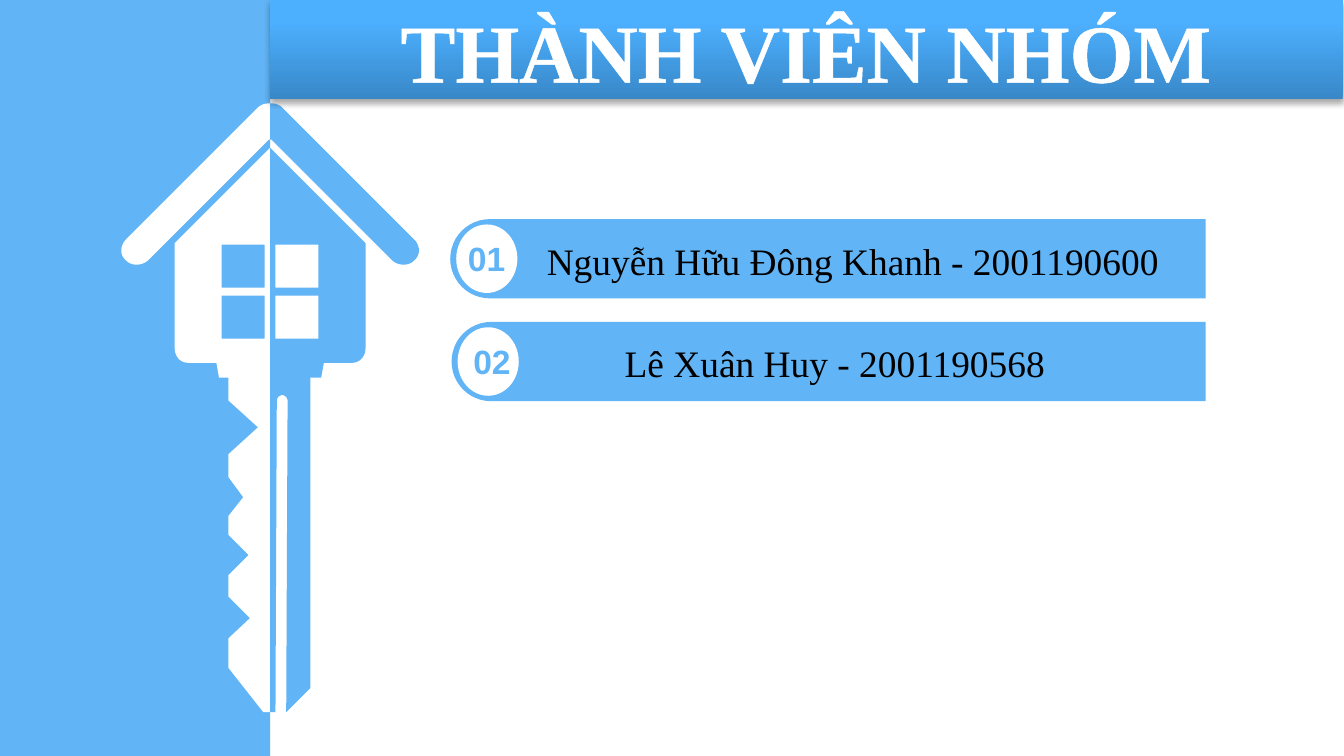
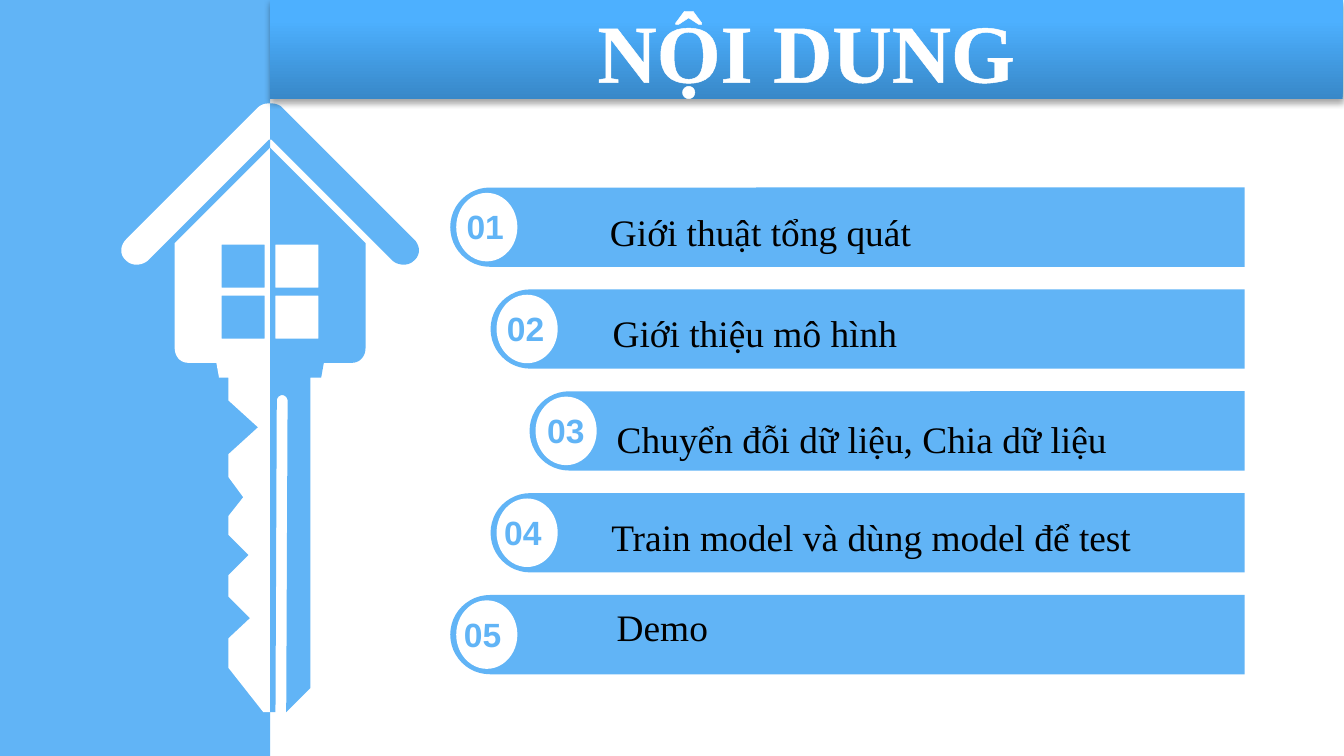
import pptx
import pptx.dml.color
import pptx.enum.shapes
import pptx.enum.text
import pptx.oxml
import pptx.oxml.ns
import pptx.util

RGB = pptx.dml.color.RGBColor
SKY = RGB(0x61, 0xB4, 0xF6)
WHITE = RGB(0xFF, 0xFF, 0xFF)
BLACK = RGB(0x00, 0x00, 0x00)
TITLE_STOPS = (
    (0, RGB(0x38, 0x88, 0xC8)),
    (80, RGB(0x4D, 0xB0, 0xFF)),
    (100, RGB(0x4F, 0xB1, 0xFF)),
)
SERIF, SANS = "Times New Roman", "Arial"
SHAPE = pptx.enum.shapes.MSO_SHAPE
ALIGN = pptx.enum.text.PP_ALIGN
ANCHOR = pptx.enum.text.MSO_ANCHOR
NAMESPACE = pptx.oxml.ns.nsdecls("a")

# Grid of square cells, a hundred columns to the slide's width
COLUMNS, ROWS = 100, 56.25
CELL = pptx.util.Inches(0.1)
SPLIT = 20.1  # column where the sky side meets the white side
BAR_HEIGHT = 5.9

# Key outlines in cells: pairs are corners, sixes are Bezier curves
ROOF = [(SPLIT, 7.7), (20, 7.7), (19.7, 7.7, 19.4, 7.8, 19.2, 8), (9.4, 17.8),
        (8.9, 18.3, 8.9, 19, 9.4, 19.4), (9.8, 19.8, 10.5, 19.8, 11, 19.4),
        (20, 10.4), (SPLIT, 10.4)]
HOUSE = [(SPLIT, 11), (13, 18.1), (13, 25.9), (13, 26.5, 13.4, 27, 14, 27),
         (16.1, 27), (16.3, 28.1), (SPLIT, 28.1)]
PANES = [[(16.5, top), (16.5, top + 3.2), (19.7, top + 3.2), (19.7, top)]
         for top in (18.2, 22)]
TEETH = [(SPLIT, 28.1), (17, 28.1), (17, 29.8), (19.2, 31.8), (17, 33.8), (17, 35.5),
         (18.1, 37), (17, 38.4), (17, 39.8), (18.5, 41.3), (17, 42.8), (17, 44.4),
         (18.6, 46), (17, 47.5), (17, 49.7), (19.6, 53), (SPLIT, 53)]
SHANK = [(SPLIT, 28.1), (23.1, 28.1), (23.1, 51.2), (21.3, 53), (21.4, 29.8),
         (21.4, 29.6, 21.2, 29.4, 21, 29.4), (20.8, 29.4, 20.6, 29.6, 20.6, 29.8),
         (20.5, 53), (SPLIT, 53)]


def cells(*lengths):
    return [round(length * CELL) for length in lengths]


def mirror(outline):
    """Reflect an outline across the split column."""
    return [tuple(2 * SPLIT - value if index % 2 == 0 else value
                  for index, value in enumerate(step)) for step in outline]


def flatten(outline, pieces=10):
    """Turn corners and curves into a plain list of points."""
    points = []
    for step in outline:
        if len(step) == 2:
            points.append(step)
            continue
        controls = [points[-1], step[:2], step[2:4], step[4:]]
        for piece in range(1, pieces + 1):
            t = piece / pieces
            weights = ((1 - t) ** 3, 3 * t * (1 - t) ** 2, 3 * t * t * (1 - t), t ** 3)
            points.append(tuple(sum(weight * point[axis]
                                    for weight, point in zip(weights, controls))
                                for axis in (0, 1)))
    return [cells(*point) for point in points]


class Deck:
    def __init__(self):
        self.deck = pptx.Presentation()
        self.deck.slide_width, self.deck.slide_height = cells(COLUMNS, ROWS)
        self.page = None

    def add_page(self, title):
        self.page = self.deck.slides.add_slide(self.deck.slide_layouts[6])
        self.shape(SHAPE.RECTANGLE, 0, 0, SPLIT, ROWS, SKY)
        self.outlines([TEETH, HOUSE, ROOF, *PANES], WHITE)
        self.outlines([SHANK, *map(mirror, [HOUSE, ROOF, *PANES])], SKY)
        self.title(title)

    def finish(self, shape, color):
        if color is not None:
            shape.fill.solid()
            shape.fill.fore_color.rgb = color
        shape.line.fill.background()
        shape.shadow.inherit = False
        return shape

    def shape(self, kind, left, top, width, height, color=None):
        shape = self.page.shapes.add_shape(kind, *cells(left, top, width, height))
        return self.finish(shape, color)

    def outlines(self, contours, color):
        builder = None
        for contour in contours:
            start, *rest = flatten(contour)
            if builder is None:
                builder = self.page.shapes.build_freeform(*start, scale=1.0)
            else:
                builder.move_to(*start)
            builder.add_line_segments(rest, close=True)
        self.finish(builder.convert_to_shape(), color)

    def set_text(self, shape, text, font, size, color, bold=False, align=ALIGN.LEFT):
        para = shape.text_frame.paragraphs[0]
        para.text = text
        para.alignment = align
        para.font.name = font
        para.font.size = pptx.util.Pt(size)
        para.font.bold = bold
        para.font.color.rgb = color
        return para

    def title(self, text):
        band = self.shape(SHAPE.RECTANGLE, SPLIT, 0, COLUMNS - SPLIT - 0.1, 7.4)
        properties = band._element.spPr
        # Three-stop gradient, placed right after the geometry
        stops = "".join(f'<a:gs pos="{share * 1000}"><a:srgbClr val="{color}"/></a:gs>'
                        for share, color in TITLE_STOPS)
        properties.insert(2, pptx.oxml.parse_xml(
            f'<a:gradFill {NAMESPACE} rotWithShape="1"><a:gsLst>{stops}</a:gsLst>'
            '<a:lin ang="16200000" scaled="0"/></a:gradFill>'))
        # Soft shadow below the band
        properties.find(pptx.oxml.ns.qn("a:effectLst")).append(pptx.oxml.parse_xml(
            f'<a:outerShdw {NAMESPACE} blurRad="39370" dist="22860" dir="5400000" '
            'rotWithShape="0"><a:srgbClr val="000000"><a:alpha val="35000"/>'
            '</a:srgbClr></a:outerShdw>'))
        band.text_frame.word_wrap = True
        band.text_frame.vertical_anchor = ANCHOR.MIDDLE
        para = self.set_text(band, text, SERIF, 44, WHITE, True, ALIGN.CENTER)
        para.space_before = pptx.util.Pt(6)
        # White outline around the letters
        para.runs[0]._r.get_or_add_rPr().insert(0, pptx.oxml.parse_xml(
            f'<a:ln {NAMESPACE} w="9525"><a:solidFill><a:srgbClr val="{WHITE}"/>'
            '</a:solidFill></a:ln>'))

    def text(self, left, top, width, height, wrap=True):
        box = self.page.shapes.add_textbox(*cells(left, top, width, height))
        box.text_frame.word_wrap = wrap
        return box

    def bar(self, left, top, right):
        """A bar with a round left end: a tall shape turned by a quarter."""
        length = right - left
        shift = (length - BAR_HEIGHT) / 2
        bar = self.shape(SHAPE.ROUND_2_SAME_RECTANGLE, left + shift, top - shift,
                         BAR_HEIGHT, length, SKY)
        bar.rotation = 270
        bar.adjustments[0], bar.adjustments[1] = 0.5, 0

    def entries(self, first_top, step, right, rows):
        for index, (left, number_left, text_left, text_top, width, text) in enumerate(rows):
            top = first_top + index * step
            self.bar(left, top, right)
            self.shape(SHAPE.OVAL, left + 0.45, top + 0.4, 4.55, 5.1, WHITE)
            number = self.text(number_left, top + 0.9, 4.8, 4, wrap=False)
            self.set_text(number, f"{index + 1:02}", SANS, 18, SKY, True, ALIGN.CENTER)
            label = self.text(text_left, text_top, width, 4.4)
            self.set_text(label, text, SERIF, 20, BLACK)


def main():
    deck = Deck()

    # Team members
    deck.add_page("THÀNH VIÊN NHÓM")
    deck.entries(16.3, 7.65, 89.7, [
        (33.5, 33.8, 39.7, 17.2, 54.7, "Nguyễn Hữu Đông Khanh - 2001190600"),
        (33.6, 34.2, 45.5, 24.8, 36.7, "Lê Xuân Huy - 2001190568"),
    ])

    # Contents
    deck.add_page("NỘI DUNG")
    deck.entries(13.95, 7.58, 92.6, [
        (33.5, 33.7, 44.4, 15.1, 54.7, "Giới thuật tổng quát"),
        (36.5, 36.7, 44.6, 22.6, 54.7, "Giới thiệu mô hình"),
        (39.4, 39.7, 44.9, 30.5, 52.8, "Chuyển đỗi dữ liệu, Chia dữ liệu"),
        (36.5, 36.5, 44.5, 37.8, 54.7, "Train model và dùng model để test"),
        (33.5, 33.5, 44.9, 44.5, 54.7, "Demo"),
    ])

    deck.deck.save("out.pptx")


if __name__ == "__main__":
    main()
